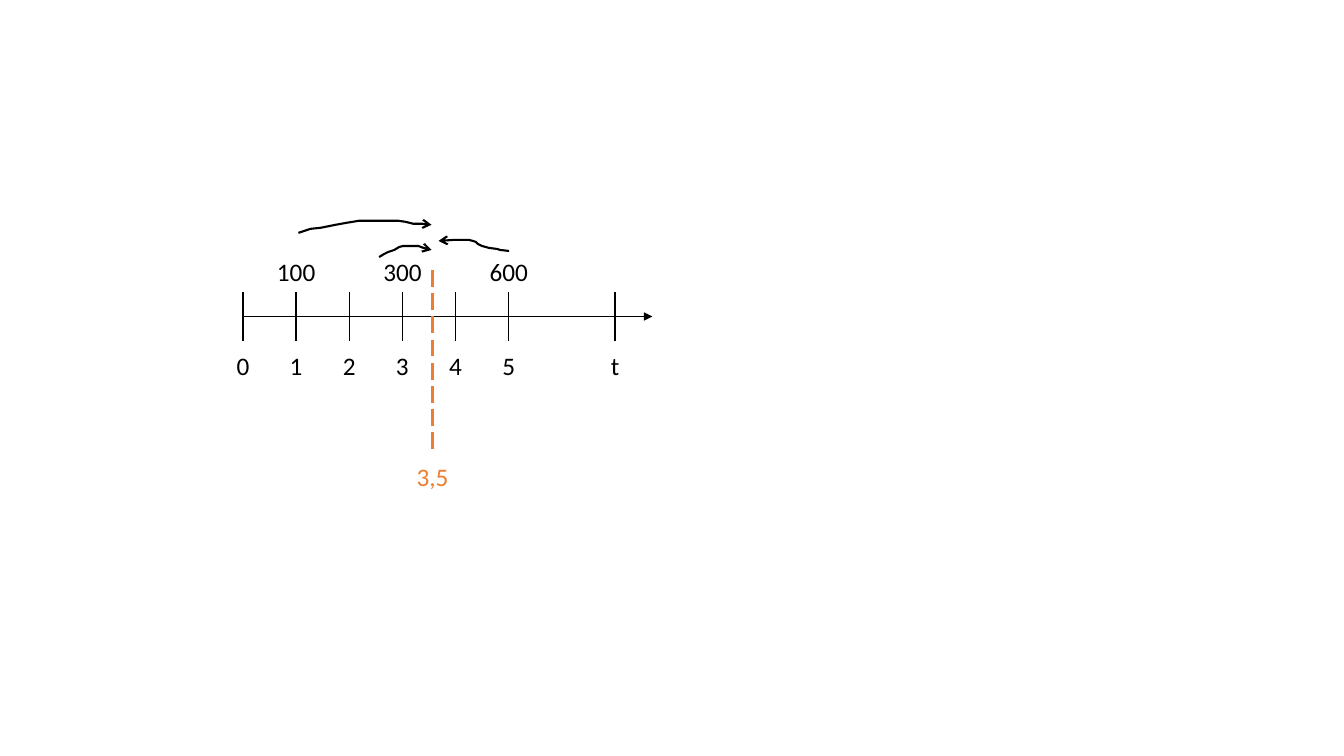
from pptx import Presentation, util as u
from pptx.dml.color import RGBColor
from pptx.enum import dml, shapes, text
from pptx.oxml.ns import qn
from lxml import etree

BLACK, ORANGE = "000000", "ED7D31"
PERIODS = [(0, "0", 0.33), (1, "1", 0.33), (2, "2", 0.33), (3, "3", 0.33),
           (4, "4", 0.33), (5, "5", 0.33), (7, "t", 0.29)]
PAYMENTS = [(1, "100"), (3, "300"), (5, "600")]
DUE_DATE = "3,5"
SHIFT_ARROWS = [
    [(2.96, 2.31), (3.02, 2.29), (3.08, 2.27), (3.18, 2.26), (3.33, 2.23), (3.44, 2.21),
     (3.56, 2.19), (3.61, 2.19), (3.95, 2.19), (4.02, 2.2), (4.1, 2.22), (4.2, 2.22),
     (4.28, 2.23)],
    [(3.76, 2.55), (3.81, 2.52), (3.85, 2.5), (3.91, 2.48), (3.96, 2.45), (4, 2.44),
     (4.15, 2.44), (4.2, 2.46), (4.25, 2.47), (4.28, 2.48)],
    [(5.05, 2.49), (4.96, 2.48), (4.93, 2.47), (4.85, 2.46), (4.78, 2.44), (4.74, 2.42),
     (4.72, 2.4), (4.69, 2.39), (4.65, 2.38), (4.5, 2.38), (4.35, 2.39)],
]

ORIGIN, AXIS_END, AXIS_Y = 2.41, 6.47, 3.14
STEP = 3.69 / 7
HALF_TICK = 0.24
DUE_X = 4.29
LABEL_HEIGHT = 0.4

presentation = Presentation()
presentation.slide_width, presentation.slide_height = u.Inches(13.33), u.Inches(7.5)
slide = presentation.slides.add_slide(presentation.slide_layouts[6])


def color(value):
    return RGBColor.from_string(value)


def period_x(period):
    return ORIGIN + period * STEP


def style_line(shape, value, width, head=None):
    shape.line.color.rgb = color(value)
    shape.line.width = u.Pt(width)
    if head:
        etree.SubElement(shape.line._get_or_add_ln(), qn("a:tailEnd"), type=head)


def add_line(start, end, value=BLACK, width=1, head=None):
    points = [u.Inches(length) for length in (*start, *end)]
    connector = slide.shapes.add_connector(shapes.MSO_CONNECTOR.STRAIGHT, *points)
    style_line(connector, value, width, head)
    etree.SubElement(connector._element.spPr, qn("a:effectLst"))
    return connector


def add_label(content, center, top, width, value=BLACK):
    box = slide.shapes.add_textbox(*map(u.Inches, (center - width / 2, top, width, LABEL_HEIGHT)))
    frame = box.text_frame
    frame.text = content
    frame.word_wrap = False
    frame.auto_size = text.MSO_AUTO_SIZE.SHAPE_TO_FIT_TEXT
    paragraph = frame.paragraphs[0]
    paragraph.alignment = text.PP_ALIGN.CENTER
    font = paragraph.runs[0].font
    font.name, font.size = "Calibri", u.Pt(18)
    font.color.rgb = color(value)


def add_curve(points):
    start, *rest = [(u.Inches(x), u.Inches(y)) for x, y in points]
    builder = slide.shapes.build_freeform(*start)
    builder.add_line_segments(rest, close=False)
    shape = builder.convert_to_shape()
    shape.fill.background()
    style_line(shape, BLACK, 1.5, "arrow")
    shape.shadow.inherit = False


add_line((ORIGIN, AXIS_Y), (AXIS_END, AXIS_Y), head="triangle")
for period, name, width in PERIODS:
    x = period_x(period)
    add_line((x, AXIS_Y - HALF_TICK), (x, AXIS_Y + HALF_TICK))
    add_label(name, x, 3.43, width)
for period, amount in PAYMENTS:
    add_label(amount, period_x(period), 2.49, 0.59)

due_line = add_line((DUE_X, 2.68), (DUE_X, 4.51), ORANGE, 1.5)
due_line.line.dash_style = dml.MSO_LINE.LONG_DASH
add_label(DUE_DATE, DUE_X, 4.53, 0.52, ORANGE)
for points in SHIFT_ARROWS:
    add_curve(points)

presentation.save("out.pptx")
